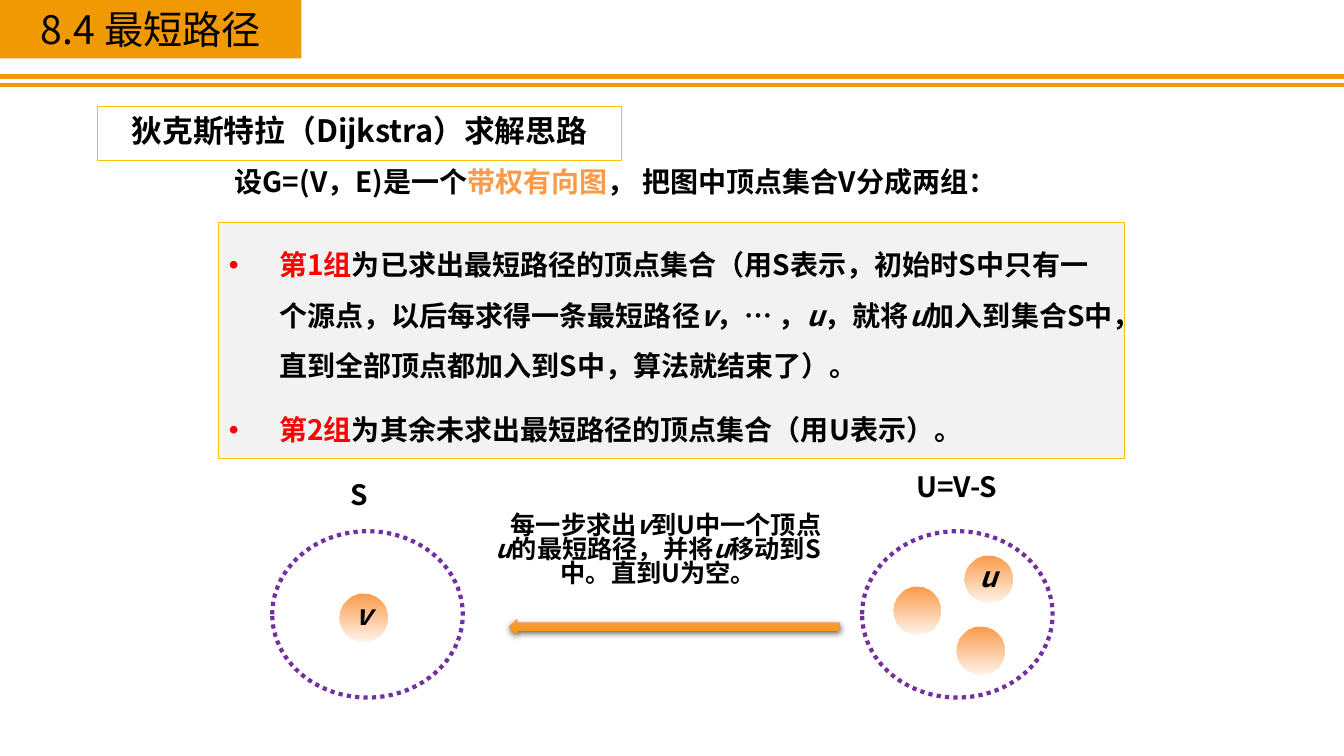
from lxml.etree import SubElement as Sub
from pptx import Presentation
from pptx.dml.color import RGBColor as RGB
from pptx.enum.dml import MSO_LINE as Dash
from pptx.enum.shapes import MSO_CONNECTOR as Conn, MSO_SHAPE as Form
from pptx.enum.text import MSO_ANCHOR as Anchor, MSO_AUTO_SIZE as Auto, PP_ALIGN as Align
from pptx.oxml.ns import qn
from pptx.util import Pt

PX = 9144  # 100 px to the inch
FONT = "Noto Sans CJK SC"
INK = {k: RGB.from_string(v) for k, v in {
    "bar": "F19903", "black": "000000", "red": "FF0000", "peach": "FC9A48",
    "gold": "FFC000", "violet": "7030A0", "grey": "F2F2F2"}.items()}


def write(shape, size, paras, pad=(10, 5, 10, 5), bold=True, wrap=True,
          anchor=Anchor.TOP, **form):
    """Fill a shape with paragraphs of (text, colour) runs; *x* is italic."""
    frame = shape.text_frame
    sides = ("margin_left", "margin_top", "margin_right", "margin_bottom")
    look = dict(zip(sides, (n * PX for n in pad)), word_wrap=wrap,
                auto_size=Auto.NONE, vertical_anchor=anchor)
    for key, val in look.items():
        setattr(frame, key, val)
    form = {"alignment": Align.CENTER, "line_spacing": 0.8, **form}
    for i, runs in enumerate(paras):
        para = frame.add_paragraph() if i else frame.paragraphs[0]
        for key, val in form.items():
            setattr(para, key, val)
        para.space_before = Pt(size / 2 if i else 0)
        for text, tint in runs:
            for n, part in enumerate(text.split("*")):
                if not part:
                    continue
                run = para.add_run()
                run.text = part
                style = {"size": Pt(size), "bold": bold, "italic": n % 2 == 1, "name": FONT}
                for key, val in style.items():
                    setattr(run.font, key, val)
                run.font.color.rgb = INK[tint]
                Sub(run._r.get_or_add_rPr(), qn("a:ea"), typeface=FONT)


def shade(shape, low, alpha=None):
    """Give a top-down gradient from peach to low, and no outline."""
    shape.shadow.inherit = False
    shape.line.fill.background()
    shape.fill.gradient()
    shape.fill.gradient_angle = 270
    for stop, tint, pos in zip(shape.fill.gradient_stops, ("peach", low), (0, 1)):
        stop.color.rgb = INK[tint]
        stop.position = pos
    if alpha:
        tone = list(shape._element.spPr.iter(qn("a:srgbClr")))[-1]
        Sub(tone, qn("a:alpha"), val=str(alpha * 1000))


deck = Presentation()
deck.slide_width, deck.slide_height = 1333 * PX, 750 * PX
slide = deck.slides.add_slide(deck.slide_layouts[1])
shapes = slide.shapes
title, body = slide.placeholders

# Header
for y in (76, 84):
    rule = shapes.add_connector(Conn.STRAIGHT, 0, y * PX, 1333 * PX, y * PX)
    rule.line.color.rgb = INK["bar"]
    rule.line.width = Pt(3)
    Sub(rule._element.spPr, qn("a:effectLst"))

for spot, box in ((title, (0, 0, 299, 58)), (body, (217, 221, 898, 234))):
    for key, val in zip(("left", "top", "width", "height"), box):
        setattr(spot, key, val * PX)
    spot.fill.solid()
title.fill.fore_color.rgb = INK["bar"]
write(title, 28, [[("8.4 最短路径", "black")]], pad=(6, 14, 6, 6), bold=False)

# Heading and lead
head = shapes.add_shape(Form.RECTANGLE, 97 * PX, 106 * PX, 519 * PX, 53 * PX)
head.shadow.inherit = False
head.fill.background()
write(head, 22, [[("狄克斯特拉（Dijkstra）求解思路", "black")]], pad=(12,) * 4)
for frame in (head, body):
    frame.line.color.rgb = INK["gold"]
    frame.line.width = Pt(0.5)

lead = shapes.add_textbox(223 * PX, 165 * PX, 887 * PX, 37 * PX)
write(lead, 20, [[("设G=(V，E)是一个", "black"), ("带权有向图", "peach"),
                  ("， 把图中顶点集合V分成两组：", "black")]], alignment=Align.JUSTIFY)

# The two groups
body.fill.fore_color.rgb = INK["grey"]
write(body, 20, [
    [("第1组", "red"),
     ("为已求出最短路径的顶点集合（用S表示，初始时S中只有一个源点，以后每求得一条最短路径"
      "*v*，… ，*u*，就将*u*加入到集合S中，直到全部顶点都加入到S中，算法就结束了）。", "black")],
    [("第2组", "red"), ("为其余未求出最短路径的顶点集合（用U表示）。", "black")],
], pad=(10, 8, 10, 8), alignment=Align.LEFT, line_spacing=1.5)
for para in body.text_frame.paragraphs:
    props = para._p.get_or_add_pPr()
    props.set("marL", str(50 * PX))
    props.set("indent", str(-50 * PX))

# Sets S and U
for x in (270, 855):
    ring = shapes.add_shape(Form.OVAL, x * PX, 527 * PX, 189 * PX, 165 * PX)
    ring.shadow.inherit = False
    ring.fill.background()
    ring.line.color.rgb = INK["violet"]
    ring.line.width = Pt(3)
    ring.line.dash_style = Dash.ROUND_DOT

for x, y, wide, name in ((325, 480, 63, "S"), (894, 472, 110, "U=V-S")):
    label = shapes.add_textbox(x * PX, y * PX, wide * PX, 27 * PX)
    write(label, 20, [[(name, "black")]], pad=(0,) * 4)

for x, y, name in ((337, 589, "*v*"), (957, 551, "*u*"), (949, 622, ""), (886, 582, "")):
    node = shapes.add_shape(Form.OVAL, x * PX, y * PX, 47 * PX, 47 * PX)
    shade(node, "peach", 10)
    if name:
        write(node, 20, [[(name, "black")]], wrap=False, anchor=Anchor.MIDDLE)

# Move from U to S
step = shapes.add_textbox(481 * PX, 506 * PX, 344 * PX, 83 * PX)
write(step, 18, [[("每一步求出*v*到U中一个顶点*u*的最短路径，并将*u*移动到S中。直到U为空。", "black")]])
step.text_frame.paragraphs[0]._p.get_or_add_pPr().set("indent", str(15 * PX))

arrow = shapes.add_shape(Form.LEFT_ARROW, 505 * PX, 614 * PX, 328 * PX, 16 * PX)
shade(arrow, "bar")
cast = Sub(arrow._element.spPr.find(qn("a:effectLst")), qn("a:outerShdw"),
           blurRad=str(Pt(4.5)), dist=str(Pt(1.5)), dir="5400000", rotWithShape="0")
tone = Sub(cast, qn("a:srgbClr"), val="000000")
Sub(tone, qn("a:alpha"), val="63000")

deck.save("out.pptx")
